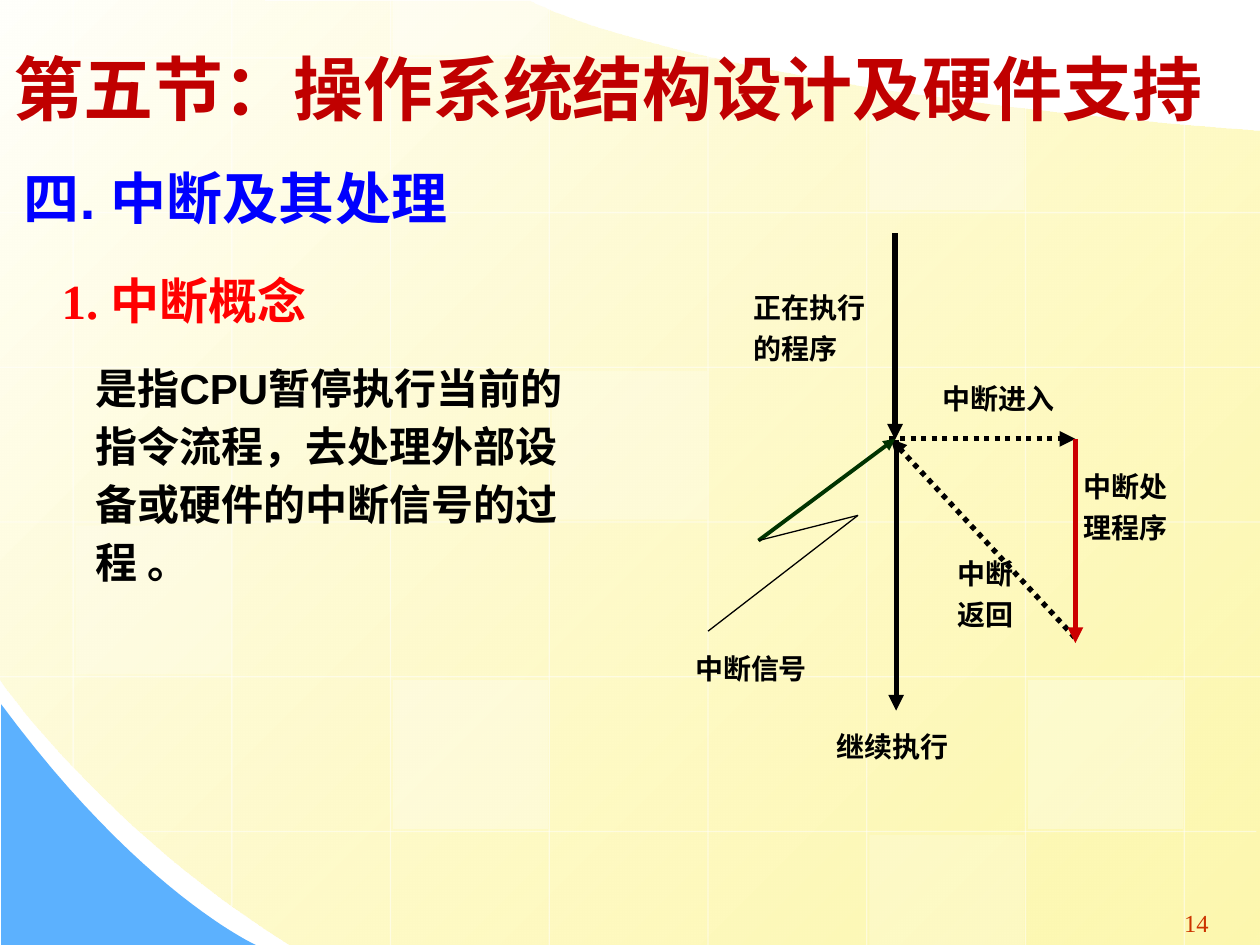
import pptx
import pptx.dml.color
import pptx.enum.dml
import pptx.enum.shapes
import pptx.enum.text
import pptx.oxml
import pptx.oxml.ns
import pptx.util

Pt = pptx.util.Pt


def tint(code):
    return pptx.dml.color.RGBColor.from_string(code)


def add(node, tag, **attrs):
    child = pptx.oxml.parse_xml(f'<a:{tag} {pptx.oxml.ns.nsdecls("a")}/>')
    for key, value in attrs.items():
        child.set(key, str(value))
    node.append(child)


def fade(shape, share):
    tag = pptx.oxml.ns.qn("a:srgbClr")
    add(list(shape._element.spPr.iter(tag))[-1], "alpha", val=share * 1000)


def curve(start, one, two, end, steps=24):
    points = []
    for step in range(steps + 1):
        t = step / steps
        u = 1 - t
        points.append(tuple(
            u**3 * a + 3 * u * u * t * b + 3 * u * t * t * c + t**3 * d
            for a, b, c, d in zip(start, one, two, end)))
    return points


class Deck:
    base = {"name": "Times New Roman", "size": Pt(16), "bold": True}

    def __init__(self, slide):
        self.slide = slide
        self.shapes = slide.shapes

    def patch(self, points):
        spots = [(Pt(x), Pt(y)) for x, y in points]
        pen = self.shapes.build_freeform(*spots[0], scale=1.0)
        pen.add_line_segments(spots[1:], close=True)
        shape = pen.convert_to_shape()
        shape.shadow.inherit = False
        shape.line.fill.background()
        return shape

    def tile(self, left, top, width, height, share):
        kind = pptx.enum.shapes.MSO_SHAPE.RECTANGLE
        shape = self.shapes.add_shape(kind, Pt(left), Pt(top), Pt(width), Pt(height))
        shape.shadow.inherit = False
        shape.fill.solid()
        shape.fill.fore_color.rgb = tint("FFFFFF")
        shape.line.fill.background()
        fade(shape, share)

    def line(self, start, end, color="000000", width=0.75, dots=False, head=False, share=None):
        kind = pptx.enum.shapes.MSO_CONNECTOR.STRAIGHT
        link = self.shapes.add_connector(kind, *map(Pt, start + end))
        link.line.color.rgb = tint(color)
        link.line.width = Pt(width)
        if dots:
            link.line.dash_style = pptx.enum.dml.MSO_LINE.ROUND_DOT
        if head:
            add(link.line._get_or_add_ln(), "tailEnd", type="triangle")
        if share:
            fade(link, share)
        add(link._element.spPr, "effectLst")

    def text(self, box, rows, color="000000", space=1.0, gap=0, mid=False,
             grow=True, inset=0, **style):
        frame = self.shapes.add_textbox(*map(Pt, box)).text_frame
        frame.word_wrap = True
        sizes = pptx.enum.text.MSO_AUTO_SIZE
        frame.auto_size = sizes.SHAPE_TO_FIT_TEXT if grow else sizes.NONE
        for index, runs in enumerate(rows):
            para = frame.paragraphs[0] if index == 0 else frame.add_paragraph()
            para.line_spacing = space
            if index:
                para.space_before = Pt(gap)
            if mid:
                para.alignment = pptx.enum.text.PP_ALIGN.CENTER
            if inset:
                para.level = 1
                para._p.get_or_add_pPr().set("marL", str(Pt(inset)))
            for words, extra in runs:
                run = para.add_run()
                run.text = words
                for key, value in {**self.base, **style, **extra}.items():
                    setattr(run.font, key, value)
                run.font.color.rgb = tint(color)


def draw_back(deck):
    sheet = deck.patch(
        [(720, 75), (720, 540)]
        + curve((165.6, 540), (61.9, 475.9), (-0.7, 388.1), (0, 388.1))
        + [(0, 0)]
        + curve((303, 0.7), (303, 0.7), (386.6, 49.7), (720, 75)))
    sheet.fill.gradient()
    sheet.fill.gradient_angle = 315
    for stop, code, place in zip(sheet.fill.gradient_stops, ("FFFFFB", "FDF58D"), (0, 1)):
        stop.color.rgb = tint(code)
        stop.position = place
    fade(sheet, 70)

    wave = deck.patch(
        [(0.7, 402.5), (0.7, 540)]
        + curve((146.2, 540), (146.2, 540), (80.6, 510.5), (0.7, 402.5)))
    wave.fill.solid()
    wave.fill.fore_color.rgb = tint("5CB1FE")

    left, top, wide, high = 41.8, 33.1, 90.7, 88.4
    spans = [(0, 438.5), (0, 517.7), (0, 540), (0, 540),
             (31, 540), (49, 540), (61.2, 540), (70.6, 540)]
    for col, (start, end) in enumerate(spans):
        x = left + col * wide
        deck.line((x, start), (x, end), "FFFFFF", share=50)
    for row, (start, end) in enumerate([(0, 409)] + [(0, 720)] * 4 + [(80, 718)]):
        y = top + row * high
        deck.line((end, y), (start, y), "FFFFFF", share=50)

    for col, row, share in [(3, 2, 25), (6, 4, 30), (0, 3, 20), (5, 5, 20),
                            (2, -1, 40), (2, 4, 30), (5, 0, 30)]:
        y = top + row * high + 2
        peak, foot = max(0, y), min(540, y + 85)
        deck.tile(left + col * wide + 1.5, peak, 88.6, foot - peak, share)


def draw_flow(deck):
    hub, turn, back = (511.5, 250.8), (614.5, 250.8), (614.5, 367.5)
    tip, bend = (433.4, 308.9), (490.3, 294.5)
    deck.line((508.3, 250.8), turn, width=3, dots=True, head=True)
    deck.line((614.2, 364.3), (509, 250.8), width=3, dots=True, head=True)
    deck.line((512.1, 251.3), (512.1, 406.1), width=3, head=True)
    deck.line((404.6, 360.7), bend)
    deck.line(tip, hub, "003300", 2.25, head=True)
    deck.line(tip, bend)
    deck.line((511.5, 133.2), (511.5, 251.3), width=3, head=True)
    deck.line(turn, back, "CC0000", 3, head=True)

    for left, top, width, *rows in [
        (470.9, 413.3, 85.7, "继续执行"),
        (531.4, 214.6, 85.7, "中断进入"),
        (540, 314.6, 71.3, "中断", "返回"),
        (390.2, 368.6, 85.7, "中断信号"),
        (423.4, 162.7, 85.7, "正在执行", "的程序"),
        (612, 265, 67.7, "中断处", "理程序"),
    ]:
        height = 26.6 + 23 * (len(rows) - 1)
        deck.text((left, top, width, height), [[(row, {})] for row in rows], gap=4)


def main():
    show = pptx.Presentation()
    show.slide_width, show.slide_height = Pt(720), Pt(540)
    deck = Deck(show.slides.add_slide(show.slide_layouts[6]))
    draw_back(deck)
    deck.text((668.9, 512.6, 29.5, 26.6), [[("14", {})]], "CC3300", 1.15,
              mid=True, size=Pt(14), bold=False)
    draw_flow(deck)
    deck.text((28.1, 146.2, 226.8, 46.1), [[("1. ", {}), ("中断概念", {"name": "Arial"})]],
              "FF0000", 1.15, size=Pt(28))
    deck.text((0.7, 15.1, 710.6, 62.6), [[("第五节：操作系统结构设计及硬件支持", {})]],
              "C00000", 1.15, grow=False, name="Arial", size=Pt(40))
    deck.text((6.5, 84.2, 452.2, 51.8), [[("四. 中断及其处理", {})]],
              "0000FF", 1.15, name="Arial", size=Pt(32))
    deck.text((11.5, 199.4, 323.3, 139.7),
              [[("是指CPU暂停执行当前的指令流程，去处理外部设备或硬件的中断信号的过程 。", {})]],
              space=1.15, inset=36, name="Arial", size=Pt(24))
    show.save("out.pptx")


if __name__ == "__main__":
    main()
